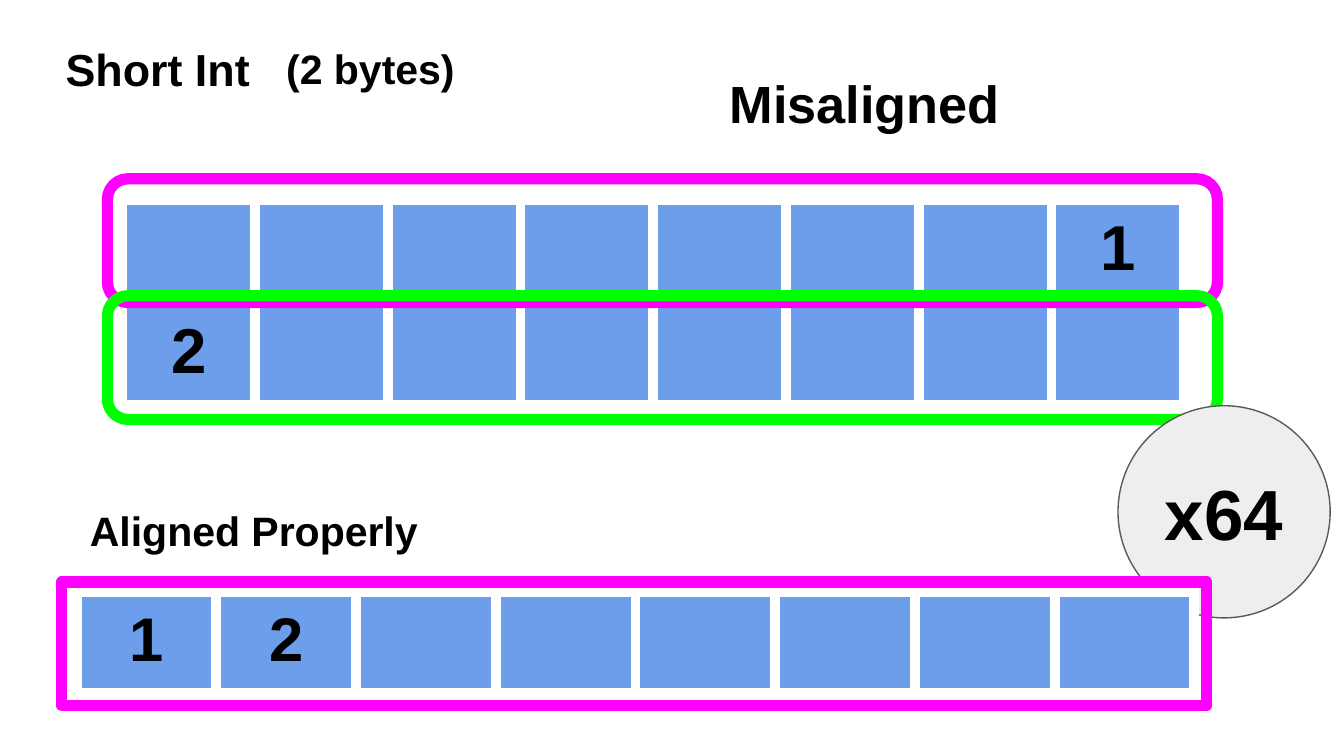
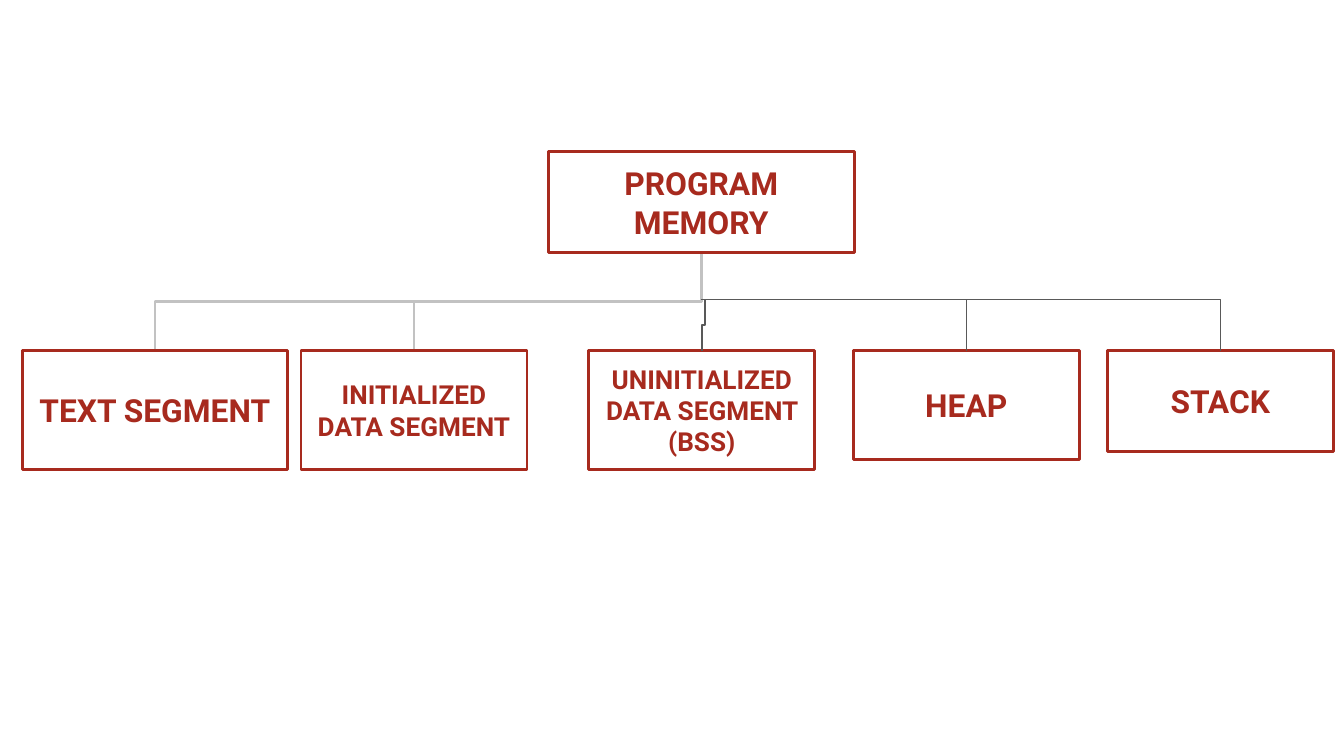
from dataclasses import dataclass
from typing import Any, NamedTuple, Optional

from lxml.etree import SubElement
from pptx import Presentation
from pptx.dml.color import RGBColor
from pptx.enum.shapes import MSO_CONNECTOR, MSO_SHAPE
from pptx.enum.text import MSO_ANCHOR, MSO_AUTO_SIZE, PP_ALIGN
from pptx.oxml.ns import qn
from pptx.slide import Slide
from pptx.util import Cm, Pt


@dataclass(frozen=True)
class Theme:
    ink: str = "000000"
    paper: str = "FFFFFF"
    cell: str = "6D9EEB"
    first_word: str = "FF00FF"
    second_word: str = "00FF00"
    badge: str = "EEEEEE"
    dark_line: str = "595959"
    pale_line: str = "C2C2C2"
    segment: str = "A72A1E"
    memory_font: str = "Arial"
    segment_font: str = "Roboto"
    heading_size: int = 24
    label_size: int = 22
    caption_size: int = 28
    badge_size: int = 38
    misaligned_size: int = 34
    aligned_size: int = 33
    segment_size: int = 17
    small_segment_size: int = 14
    thick: float = 6
    medium: float = 1.5
    thin: float = 0.75


THEME = Theme()
PADDING = Cm(0.25)
TEXT_INSETS = dict.fromkeys(
    ("margin_left", "margin_right", "margin_top", "margin_bottom"), PADDING
)
LABEL_FRAME = {
    **TEXT_INSETS,
    "word_wrap": True,
    "vertical_anchor": MSO_ANCHOR.TOP,
    "auto_size": MSO_AUTO_SIZE.SHAPE_TO_FIT_TEXT,
}
BOX_FRAME = {
    **TEXT_INSETS,
    "word_wrap": True,
    "vertical_anchor": MSO_ANCHOR.MIDDLE,
}


class Point(NamedTuple):
    x: float
    y: float


class Area(NamedTuple):
    left: float
    top: float
    width: float
    height: float

    def lengths(self) -> list[Cm]:
        return [Cm(value) for value in self]

    def top_center(self) -> Point:
        return Point(self.left + self.width / 2, self.top)

    def bottom_center(self) -> Point:
        return Point(self.left + self.width / 2, self.top + self.height)


class TextStyle(NamedTuple):
    size: int
    color: str = THEME.ink
    font: str = THEME.memory_font
    alignment: PP_ALIGN = PP_ALIGN.CENTER


@dataclass(frozen=True)
class Label:
    text: str
    area: Area
    size: int


@dataclass(frozen=True)
class Box:
    area: Area
    line: str
    weight: float
    kind: MSO_SHAPE = MSO_SHAPE.RECTANGLE
    fill: Optional[str] = None
    text: str = ""
    style: Optional[TextStyle] = None


@dataclass(frozen=True)
class MemoryTable:
    corner: Point
    column_width: float
    row_height: float
    rows: list[list[str]]
    size: int


@dataclass(frozen=True)
class Elbow:
    start: Point
    end: Point
    color: str
    weight: float
    single_corner: bool = False


def apply_format(target: Any, values: dict[str, Any]) -> None:
    for name, value in values.items():
        setattr(target, name, value)


def write_text(text_frame: Any, text: str, style: TextStyle) -> None:
    paragraph = text_frame.paragraphs[0]
    paragraph.alignment = style.alignment
    run = paragraph.add_run()
    run.text = text
    apply_format(run.font, {"name": style.font, "size": Pt(style.size), "bold": True})
    run.font.color.rgb = RGBColor.from_string(style.color)


def set_line(line: Any, color: str, weight: float) -> None:
    line.color.rgb = RGBColor.from_string(color)
    line.width = Pt(weight)


def fill_label(shape: Any, label: Label) -> None:
    apply_format(shape, dict(zip(("left", "top", "width", "height"), label.area.lengths())))
    apply_format(shape.text_frame, LABEL_FRAME)
    write_text(shape.text_frame, label.text, TextStyle(label.size, alignment=PP_ALIGN.LEFT))


def draw_label(slide: Slide, label: Label) -> None:
    fill_label(slide.shapes.add_textbox(*label.area.lengths()), label)


def draw_box(slide: Slide, box: Box) -> None:
    shape = slide.shapes.add_shape(box.kind, *box.area.lengths())
    shape.shadow.inherit = False
    set_line(shape.line, box.line, box.weight)
    if box.fill:
        shape.fill.solid()
        shape.fill.fore_color.rgb = RGBColor.from_string(box.fill)
    else:
        shape.fill.background()
    if box.style:
        apply_format(shape.text_frame, BOX_FRAME)
        write_text(shape.text_frame, box.text, box.style)


def draw_cell_borders(cell: Any) -> None:
    properties = cell._tc.get_or_add_tcPr()
    for side in ("lnL", "lnR", "lnT", "lnB"):
        border = SubElement(properties, qn(f"a:{side}"), w=str(Pt(THEME.thick)))
        fill = SubElement(border, qn("a:solidFill"))
        SubElement(fill, qn("a:srgbClr"), val=THEME.paper)


def draw_memory_table(slide: Slide, memory: MemoryTable) -> None:
    row_count, column_count = len(memory.rows), len(memory.rows[0])
    area = Area(
        *memory.corner, memory.column_width * column_count, memory.row_height * row_count
    )
    table = slide.shapes.add_table(row_count, column_count, *area.lengths()).table
    apply_format(table, {"first_row": False, "horz_banding": False})
    for column in table.columns:
        column.width = Cm(memory.column_width)
    for row, texts in zip(table.rows, memory.rows):
        row.height = Cm(memory.row_height)
        for cell, text in zip(row.cells, texts):
            apply_format(cell, TEXT_INSETS)
            draw_cell_borders(cell)
            cell.fill.solid()
            cell.fill.fore_color.rgb = RGBColor.from_string(THEME.cell)
            if text:
                write_text(cell.text_frame, text, TextStyle(memory.size))


def draw_elbow(slide: Slide, elbow: Elbow) -> None:
    start, end = elbow.start, elbow.end
    width, height = abs(end.x - start.x), abs(end.y - start.y)
    rotation = 0
    if not elbow.single_corner:
        width, height = height, width
        rotation = 90 if end.y > start.y else 270
    left = (start.x + end.x - width) / 2
    top = (start.y + end.y - height) / 2
    connector = slide.shapes.add_connector(
        MSO_CONNECTOR.ELBOW, Cm(left), Cm(top), Cm(left + width), Cm(top + height)
    )
    connector.rotation = rotation
    set_line(connector.line, elbow.color, elbow.weight)
    properties = connector._element.spPr
    if elbow.single_corner:
        properties.find(qn("a:prstGeom")).set("prst", "bentConnector2")
    SubElement(properties, qn("a:effectLst"))


def build_alignment_slide(presentation: Any) -> None:
    slide = presentation.slides.add_slide(presentation.slide_layouts[5])
    fill_label(
        slide.shapes.title,
        Label("Short Int", Area(0.99, 0.53, 4.6, 1.55), THEME.heading_size),
    )
    blank = [""] * 7
    draw_memory_table(
        slide,
        MemoryTable(
            Point(2.31, 3.78), 2.51, 1.07, [[*blank, "1"], ["2", *blank]],
            THEME.misaligned_size,
        ),
    )
    draw_label(slide, Label("(2 bytes)", Area(5.16, 0.58, 4.32, 1.45), THEME.label_size))
    draw_label(slide, Label("Misaligned", Area(13.54, 1.09, 11.86, 1.7), THEME.caption_size))
    for top, color in ((3.38, THEME.first_word), (5.59, THEME.second_word)):
        draw_box(
            slide,
            Box(Area(2.03, top, 20.98, 2.34), color, THEME.thick, MSO_SHAPE.ROUNDED_RECTANGLE),
        )
    draw_box(
        slide,
        Box(
            Area(21.13, 7.67, 4.01, 4.01), THEME.dark_line, THEME.thin, MSO_SHAPE.OVAL,
            THEME.badge, "x64", TextStyle(THEME.badge_size),
        ),
    )
    draw_memory_table(
        slide,
        MemoryTable(
            Point(1.45, 11.2), 2.64, 1.85, [["1", "2", *blank[:6]]], THEME.aligned_size
        ),
    )
    draw_label(slide, Label("Aligned Properly", Area(1.45, 9.3, 8.41, 1.45), THEME.label_size))
    draw_box(slide, Box(Area(1.17, 11, 21.64, 2.34), THEME.first_word, THEME.thick))


def build_memory_slide(presentation: Any) -> None:
    slide = presentation.slides.add_slide(presentation.slide_layouts[6])
    large, small = (
        TextStyle(size, THEME.segment, THEME.segment_font)
        for size in (THEME.segment_size, THEME.small_segment_size)
    )
    segment_top, segment_width = 6.63, 4.27
    program = Area(10.36, 2.87, 5.79, 1.91)
    text = Area(0.43, segment_top, 5, 2.24)
    initialized = Area(5.69, segment_top, segment_width, 2.24)
    uninitialized = Area(11.13, segment_top, segment_width, 2.24)
    heap = Area(16.13, segment_top, segment_width, 2.06)
    stack = Area(20.93, segment_top, segment_width, 1.91)

    trunk = program.bottom_center()
    pale = (THEME.pale_line, THEME.medium)
    dark = (THEME.dark_line, THEME.thin)
    draw_elbow(slide, Elbow(trunk, initialized.top_center(), *pale))
    draw_elbow(slide, Elbow(text.top_center(), trunk, *pale))

    for area, name, style in (
        (program, "PROGRAM MEMORY", large),
        (text, "TEXT SEGMENT", large),
        (initialized, "INITIALIZED DATA SEGMENT", small),
        (uninitialized, "UNINITIALIZED DATA SEGMENT (BSS)", small),
        (heap, "HEAP", large),
        (stack, "STACK", large),
    ):
        draw_box(slide, Box(area, THEME.segment, THEME.medium, text=name, style=style))

    branch_y = 5.66
    junction = Point(trunk.x, branch_y)
    heap_turn = Point(heap.top_center().x, branch_y)
    draw_elbow(slide, Elbow(junction, heap.top_center(), *dark, single_corner=True))
    draw_elbow(
        slide, Elbow(Point(junction.x + 0.07, branch_y), uninitialized.top_center(), *dark)
    )
    draw_elbow(slide, Elbow(heap_turn, stack.top_center(), *dark, single_corner=True))


def main() -> None:
    presentation = Presentation()
    apply_format(presentation, {"slide_width": Cm(25.4), "slide_height": Cm(14.29)})
    build_alignment_slide(presentation)
    build_memory_slide(presentation)
    presentation.save("out.pptx")


if __name__ == "__main__":
    main()
